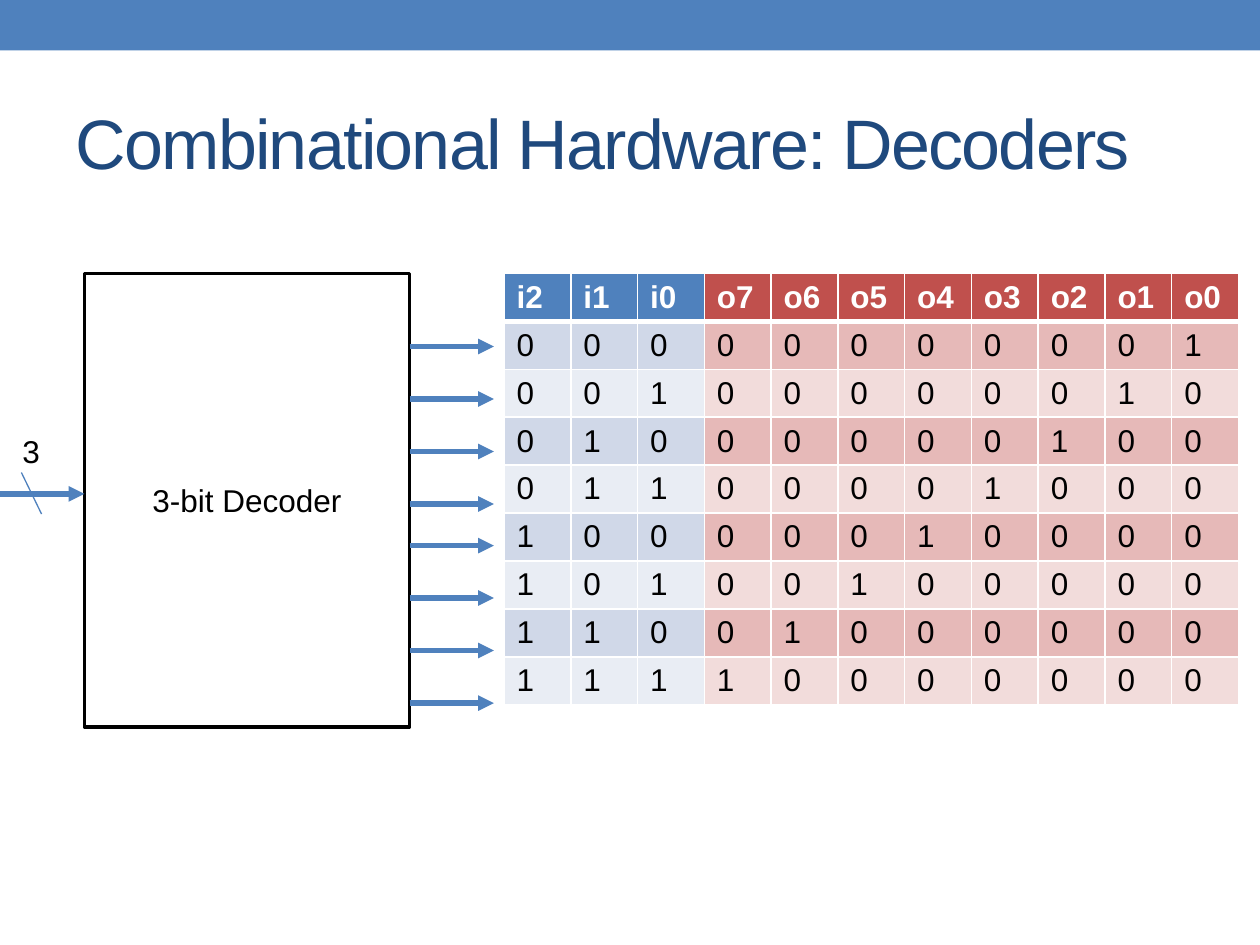
"""Build a slide that shows a 3-bit decoder beside its truth table."""

from dataclasses import dataclass

import lxml.etree
import pptx
import pptx.dml.color
import pptx.enum.shapes
import pptx.enum.text
import pptx.oxml
import pptx.oxml.ns
import pptx.util

Inches = pptx.util.Inches


@dataclass(frozen=True)
class Theme:
    font: str = "Arial"
    title_size: float = 40
    body_size: float = 18
    blue: str = "4F81BD"
    navy: str = "1F497D"
    red: str = "C0504D"
    black: str = "000000"
    white: str = "FFFFFF"
    input_bands: tuple[str, str] = ("D0D8E8", "E9EDF4")
    output_bands: tuple[str, str] = ("E6B9B8", "F2DCDB")


@dataclass(frozen=True)
class Box:
    left: float
    top: float
    width: float
    height: float

    def lengths(self) -> tuple:
        return tuple(map(Inches, (self.left, self.top, self.width, self.height)))


@dataclass(frozen=True)
class Wire:
    start: tuple[float, float]
    end: tuple[float, float]
    weight: float = 3
    arrow: bool = True


THEME = Theme()
INPUT_BITS = 3
OUTPUT_BITS = 2 ** INPUT_BITS
COLUMN_WIDTH = 0.53
ROW_HEIGHT = 0.36
BANNER = Box(0, 0, 10, 0.4)
TITLE = Box(0.5, 0.58, 9, 1.08)
DECODER = Box(0.67, 2.17, 2.58, 3.6)
TRUTH_TABLE = Box(4, 2.17, COLUMN_WIDTH * (INPUT_BITS + OUTPUT_BITS), ROW_HEIGHT * (OUTPUT_BITS + 1))
BUS_LABEL = Box(0.08, 3.38, 0.34, 0.4)
BUS_WIRES = (
    Wire((0, 3.92), (DECODER.left, 3.92)),
    Wire((0.17, 3.75), (0.33, 4.08), weight=0.75, arrow=False),
)
OUTPUT_GROUP_TOPS = (2.75, 4.33)
OUTPUT_STEP = 5 / 12
OUTPUT_LEFT, OUTPUT_RIGHT = 3.25, 3.92


def color(value: str) -> pptx.dml.color.RGBColor:
    return pptx.dml.color.RGBColor.from_string(value)


def format_text(text_frame, size: float, text_color: str, bold: bool = False) -> None:
    for paragraph in text_frame.paragraphs:
        for run in paragraph.runs:
            run.font.name = THEME.font
            run.font.size = pptx.util.Pt(size)
            run.font.bold = bold
            run.font.color.rgb = color(text_color)


def add_rectangle(slide, box: Box, fill: str):
    shape = slide.shapes.add_shape(pptx.enum.shapes.MSO_SHAPE.RECTANGLE, *box.lengths())
    shape.shadow.inherit = False
    shape.fill.solid()
    shape.fill.fore_color.rgb = color(fill)
    shape.line.fill.background()
    return shape


def add_title(slide, text: str) -> None:
    title = slide.shapes.title
    title.left, title.top, title.width, title.height = TITLE.lengths()
    text_frame = title.text_frame
    text_frame.text = text
    text_frame.vertical_anchor = pptx.enum.text.MSO_ANCHOR.MIDDLE
    text_frame.auto_size = pptx.enum.text.MSO_AUTO_SIZE.NONE
    paragraph = text_frame.paragraphs[0]
    paragraph.alignment = pptx.enum.text.PP_ALIGN.LEFT
    format_text(text_frame, THEME.title_size, THEME.navy)
    paragraph.runs[0].font._element.set("spc", "-100")


def add_decoder(slide) -> None:
    shape = add_rectangle(slide, DECODER, THEME.white)
    shape.line.color.rgb = color(THEME.black)
    shape.line.width = pptx.util.Pt(2.08)
    shape.text_frame.text = f"{INPUT_BITS}-bit Decoder"
    shape.text_frame.vertical_anchor = pptx.enum.text.MSO_ANCHOR.MIDDLE
    shape.text_frame.paragraphs[0].alignment = pptx.enum.text.PP_ALIGN.CENTER
    format_text(shape.text_frame, THEME.body_size, THEME.black)


def add_wire(slide, wire: Wire) -> None:
    connector = slide.shapes.add_connector(
        pptx.enum.shapes.MSO_CONNECTOR.STRAIGHT, *map(Inches, wire.start + wire.end)
    )
    connector.line.color.rgb = color(THEME.blue)
    connector.line.width = pptx.util.Pt(wire.weight)
    if wire.arrow:
        line = connector.line._get_or_add_ln()
        lxml.etree.SubElement(line, pptx.oxml.ns.qn("a:tailEnd"), type="triangle")
    lxml.etree.SubElement(connector._element.spPr, pptx.oxml.ns.qn("a:effectLst"))


def add_bus_label(slide) -> None:
    shape = slide.shapes.add_textbox(*BUS_LABEL.lengths())
    text_frame = shape.text_frame
    text_frame.text = str(INPUT_BITS)
    text_frame.word_wrap = False
    text_frame.auto_size = pptx.enum.text.MSO_AUTO_SIZE.SHAPE_TO_FIT_TEXT
    format_text(text_frame, THEME.body_size, THEME.black)


def set_borders(cell, weights: dict[str, float]) -> None:
    properties = cell._tc.get_or_add_tcPr()
    for index, (side, weight) in enumerate(weights.items()):
        border = pptx.oxml.parse_xml(
            f'<a:{side} {pptx.oxml.ns.nsdecls("a")} w="{pptx.util.Pt(weight)}">'
            f'<a:solidFill><a:srgbClr val="{THEME.white}"/></a:solidFill></a:{side}>'
        )
        properties.insert(index, border)


def truth_rows() -> list[list[str]]:
    header = [f"i{bit}" for bit in reversed(range(INPUT_BITS))]
    header += [f"o{bit}" for bit in reversed(range(OUTPUT_BITS))]
    return [header] + [
        list(f"{value:0{INPUT_BITS}b}{1 << value:0{OUTPUT_BITS}b}") for value in range(OUTPUT_BITS)
    ]


def add_truth_table(slide) -> None:
    rows = truth_rows()
    table = slide.shapes.add_table(len(rows), len(rows[0]), *TRUTH_TABLE.lengths()).table
    for column in table.columns:
        column.width = Inches(COLUMN_WIDTH)
    for row_index, values in enumerate(rows):
        table.rows[row_index].height = Inches(ROW_HEIGHT)
        is_header = row_index == 0
        for column_index, value in enumerate(values):
            is_input = column_index < INPUT_BITS
            if is_header:
                fill = THEME.blue if is_input else THEME.red
            else:
                bands = THEME.input_bands if is_input else THEME.output_bands
                fill = bands[(row_index - 1) % 2]
            cell = table.cell(row_index, column_index)
            cell.text_frame.text = value
            format_text(cell.text_frame, THEME.body_size, THEME.white if is_header else THEME.black, is_header)
            cell.fill.solid()
            cell.fill.fore_color.rgb = color(fill)
            top = 3 if row_index == 1 else 1
            set_borders(cell, {"lnL": 1, "lnR": 1, "lnT": top, "lnB": 3 if is_header else 1})


def main() -> None:
    presentation = pptx.Presentation()
    presentation.slide_width, presentation.slide_height = Inches(10), Inches(7.5)
    slide = presentation.slides.add_slide(presentation.slide_layouts[5])
    add_rectangle(slide, BANNER, THEME.blue)
    add_title(slide, "Combinational Hardware: Decoders")
    add_truth_table(slide)
    add_decoder(slide)
    output_heights = [
        top + OUTPUT_STEP * index for top in OUTPUT_GROUP_TOPS for index in range(OUTPUT_BITS // 2)
    ]
    output_wires = [Wire((OUTPUT_LEFT, height), (OUTPUT_RIGHT, height)) for height in output_heights]
    for wire in (*BUS_WIRES, *output_wires):
        add_wire(slide, wire)
    add_bus_label(slide)
    presentation.save("out.pptx")


if __name__ == "__main__":
    main()
